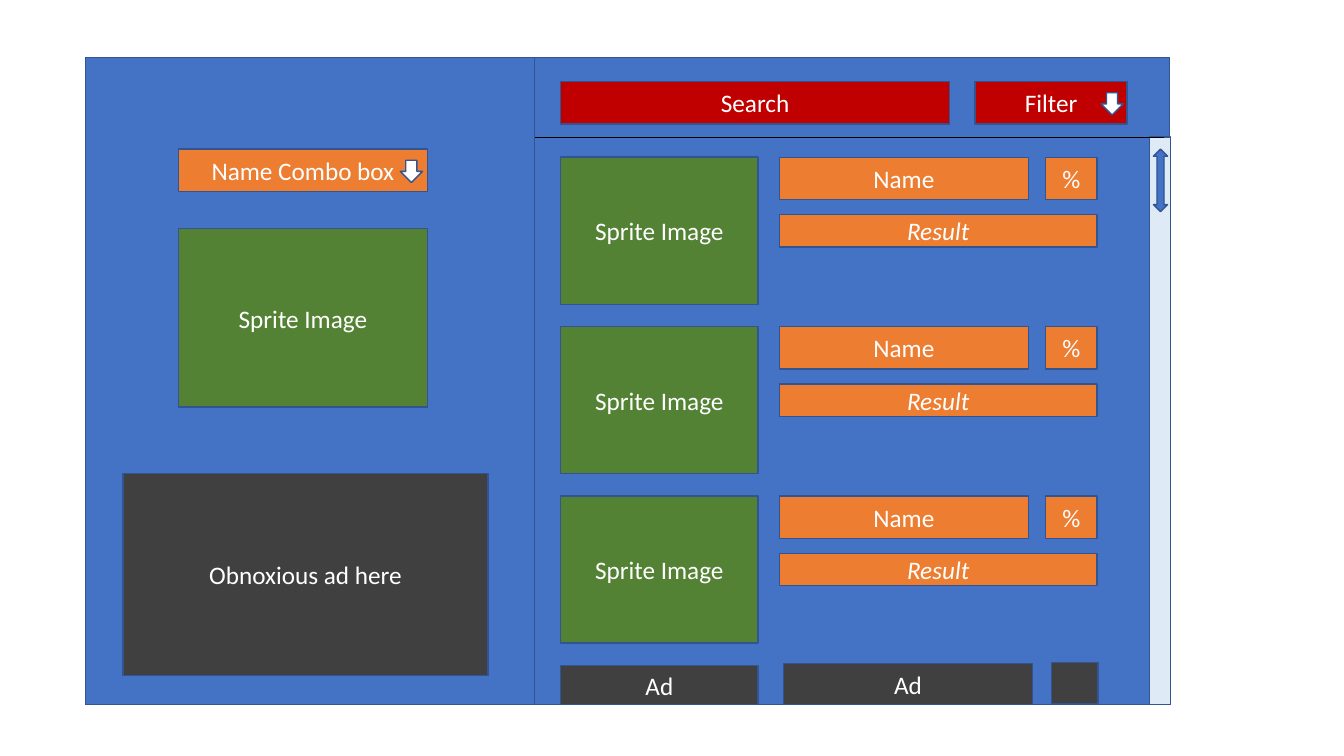
from pptx import Presentation
from pptx.dml.color import RGBColor
from pptx.enum.shapes import MSO_CONNECTOR, MSO_SHAPE
from pptx.enum.text import MSO_ANCHOR, PP_ALIGN
from pptx.oxml.ns import qn
from pptx.util import Inches, Pt
from lxml.etree import SubElement

BLUE = RGBColor(0x44, 0x72, 0xC4)
OUTLINE = RGBColor(0x32, 0x54, 0x91)
ORANGE = RGBColor(0xED, 0x7D, 0x31)
GREEN = RGBColor(0x54, 0x82, 0x35)
RED = RGBColor(0xC0, 0x00, 0x00)
GRAY = RGBColor(0x40, 0x40, 0x40)
PALE_BLUE = RGBColor(0xDE, 0xEB, 0xF7)
WHITE = RGBColor(0xFF, 0xFF, 0xFF)
BLACK = RGBColor(0x00, 0x00, 0x00)

BAR_HEIGHT = 0.42
NAME_WIDTH = 2.47
SPRITE_LEFT, SPRITE_WIDTH = 5.56, 1.96
RESULT_LEFT = 7.73
FIRST_ROW_TOP, ROW_PITCH, ROW_COUNT = 1.56, 1.68, 3


def write_text(shape, text, size=18, color=WHITE, italic=None):
    frame = shape.text_frame
    frame.word_wrap = True
    frame.vertical_anchor = MSO_ANCHOR.MIDDLE
    para = frame.paragraphs[0]
    para.alignment = PP_ALIGN.CENTER
    span = para.add_run()
    span.text = text
    span.font.name = "Calibri"
    span.font.size = Pt(size)
    span.font.color.rgb = color
    span.font.italic = italic


def add_box(page, left, top, width, height, fill, text=None,
            kind=MSO_SHAPE.RECTANGLE, **text_format):
    box = page.shapes.add_shape(
        kind, Inches(left), Inches(top), Inches(width), Inches(height))
    box.shadow.inherit = False
    box.fill.solid()
    box.fill.fore_color.rgb = fill
    box.line.color.rgb = OUTLINE
    box.line.width = Pt(1)
    if text:
        write_text(box, text, **text_format)
    return box


def add_drop_arrow(page, left, top):
    add_box(page, left, top, 0.22, 0.22, WHITE, kind=MSO_SHAPE.DOWN_ARROW)


def add_divider(page, left, right, top):
    divider = page.shapes.add_connector(
        MSO_CONNECTOR.STRAIGHT,
        Inches(left), Inches(top), Inches(right), Inches(top))
    divider.line.color.rgb = BLACK
    divider.line.width = Pt(0.5)
    SubElement(divider._element.spPr, qn("a:effectLst"))


def add_result_row(page, top):
    add_box(page, SPRITE_LEFT, top, SPRITE_WIDTH, 1.46, GREEN, "Sprite Image")
    add_box(page, RESULT_LEFT, top, NAME_WIDTH, BAR_HEIGHT, ORANGE, "Name")
    add_box(page, RESULT_LEFT, top + 0.57, 3.15, 0.32, ORANGE, "Result",
            italic=True)
    add_box(page, 10.37, top, 0.51, BAR_HEIGHT, ORANGE, "%")


def add_selection_panel(page):
    add_box(page, 0.85, 0.57, 4.45, 6.42, BLUE)
    add_box(page, 1.77, 1.48, NAME_WIDTH, BAR_HEIGHT, ORANGE, "Name Combo box")
    add_drop_arrow(page, 3.97, 1.59)
    add_box(page, 1.77, 2.27, NAME_WIDTH, 1.77, GREEN, "Sprite Image")
    add_box(page, 1.22, 4.7, 3.62, 2, GRAY, "Obnoxious ad here")


def add_search_bar(page):
    add_box(page, SPRITE_LEFT, 0.81, 3.86, BAR_HEIGHT, RED, "Search")
    add_box(page, 9.67, 0.81, 1.51, BAR_HEIGHT, RED, "Filter")
    add_drop_arrow(page, 10.92, 0.92)


def add_scroll_bar(page):
    add_box(page, 11.4, 1.36, 0.21, 5.63, PALE_BLUE)
    add_box(page, 11.44, 1.48, 0.14, 0.62, BLUE, kind=MSO_SHAPE.UP_DOWN_ARROW)


def add_ad_strip(page):
    add_box(page, SPRITE_LEFT, 6.6, SPRITE_WIDTH, 0.39, GRAY, "Ad")
    add_box(page, 7.77, 6.58, NAME_WIDTH, 0.41, GRAY, "Ad")
    add_box(page, 10.43, 6.57, 0.46, 0.41, GRAY)


def main():
    deck = Presentation()
    deck.slide_width = Inches(13.33)
    deck.slide_height = Inches(7.5)
    page = deck.slides.add_slide(deck.slide_layouts[6])

    # Window and left panel
    add_box(page, 0.85, 0.57, 10.75, 6.42, BLUE)
    add_selection_panel(page)

    # Search results
    for row in range(ROW_COUNT):
        add_result_row(page, FIRST_ROW_TOP + row * ROW_PITCH)
    add_search_bar(page)
    add_scroll_bar(page)
    add_divider(page, 5.31, 11.54, 1.36)

    # Ads under the results
    add_ad_strip(page)

    deck.save("out.pptx")


main()
